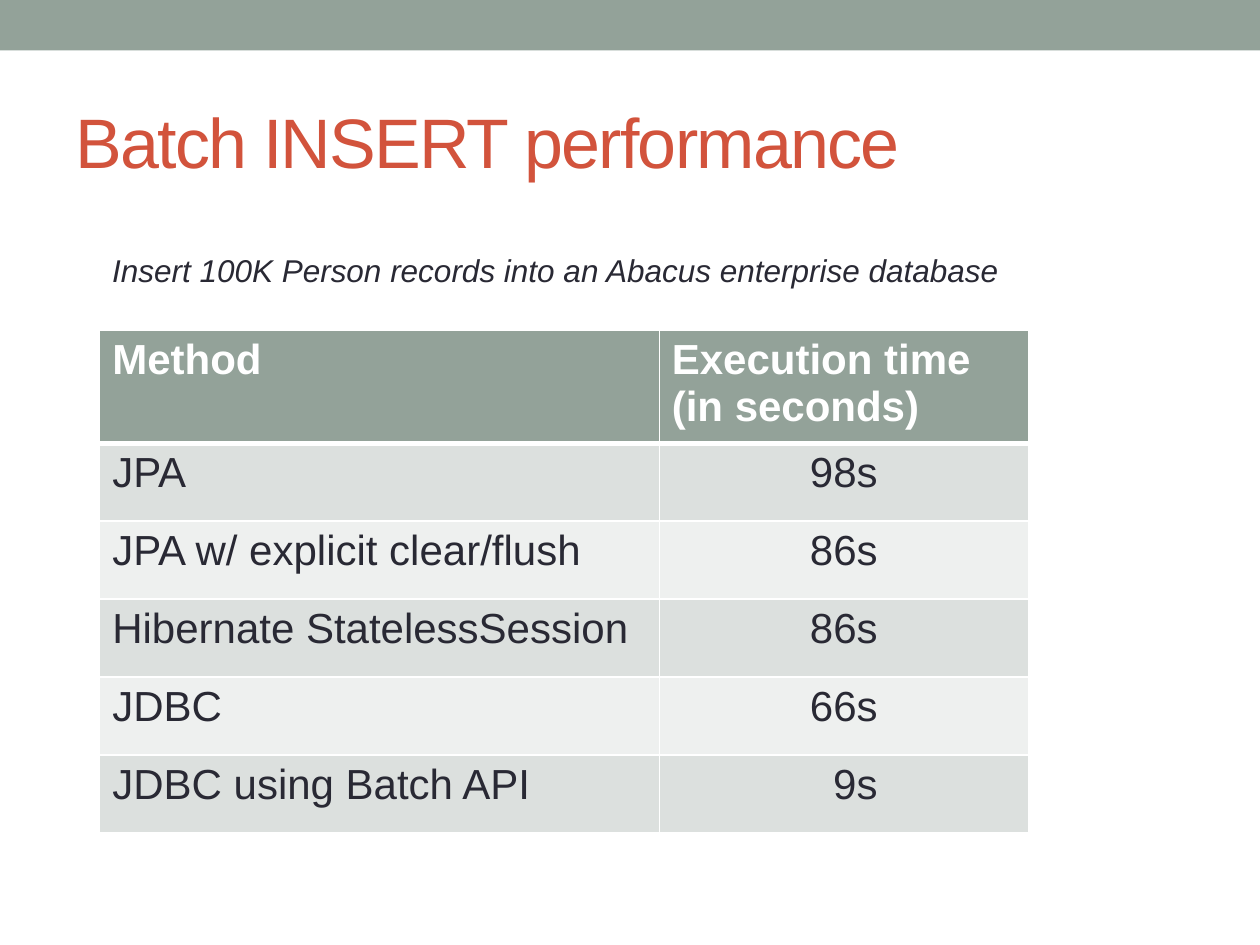
from lxml.etree import SubElement
from pptx import Presentation
from pptx.dml.color import RGBColor
from pptx.enum.shapes import MSO_SHAPE
from pptx.enum.text import MSO_ANCHOR, MSO_AUTO_SIZE, PP_ALIGN
from pptx.oxml.ns import qn
from pptx.util import Cm, Pt

SAGE = "93A299"
RUST = "D2533C"
DARK = "292934"
WHITE = "FFFFFF"
BAND_FILLS = ("DCE0DE", "EEF0EF")

TABLE_LEFT = 2.01
COLUMN_WIDTHS = (11.28, 7.44)
ROW_HEIGHT = 1.57
RESULTS = [
    ("Method", "Execution time \v(in seconds)"),
    ("JPA", "98s"),
    ("JPA w/ explicit clear/flush", "86s"),
    ("Hibernate StatelessSession", "86s"),
    ("JDBC", "66s"),
    ("JDBC using Batch API", "9s"),
]


def color(hex_string):
    """Turn a hex string into a colour."""
    return RGBColor.from_string(hex_string)


def format_text(text_frame, size, hex_string, bold=False, italic=False):
    """Apply one font style to every run of a text frame."""
    for paragraph in text_frame.paragraphs:
        for run in paragraph.runs:
            run.font.name = "Arial"
            run.font.size = Pt(size)
            run.font.bold = bold
            run.font.italic = italic
            run.font.color.rgb = color(hex_string)


def add_top_band(slide, width):
    """Draw the coloured band along the top edge."""
    band = slide.shapes.add_shape(MSO_SHAPE.RECTANGLE, 0, 0, width, Cm(1.02))
    band.shadow.inherit = False
    band.fill.solid()
    band.fill.fore_color.rgb = color(SAGE)
    band.line.fill.background()


def add_text(slide, text, left, top, width, height, size, hex_string, italic=False):
    """Add a wrapped text box in one style and return its text frame."""
    box = slide.shapes.add_textbox(Cm(left), Cm(top), Cm(width), Cm(height))
    text_frame = box.text_frame
    text_frame.word_wrap = True
    text_frame.text = text
    format_text(text_frame, size, hex_string, italic=italic)
    return text_frame


def add_title(slide, text):
    """Add the slide title with tightened letter spacing."""
    text_frame = add_text(slide, text, 1.27, 1.47, 22.86, 2.74, 40, RUST)
    text_frame.vertical_anchor = MSO_ANCHOR.MIDDLE
    for run in text_frame.paragraphs[0].runs:
        run.font._element.set("spc", "-100")


def set_borders(cell, top, bottom):
    """Give a cell white borders, with top and bottom widths in points."""
    properties = cell._tc.get_or_add_tcPr()
    widths = {"a:lnL": 1, "a:lnR": 1, "a:lnT": top, "a:lnB": bottom}
    for index, (tag, width) in enumerate(widths.items()):
        line = SubElement(properties, qn(tag), w=str(Pt(width)))
        fill = SubElement(line, qn("a:solidFill"))
        SubElement(fill, qn("a:srgbClr"), val=WHITE)
        properties.insert(index, line)


def fill_cell(cell, text, row, column):
    """Write and style one table cell according to its row and column."""
    is_header = row == 0
    cell.text_frame.text = ""
    paragraph = cell.text_frame.paragraphs[0]
    paragraph.text = text
    format_text(cell.text_frame, 24, WHITE if is_header else DARK, bold=is_header)
    if column == 1 and not is_header:
        paragraph.alignment = PP_ALIGN.CENTER
        if len(text) == 2:
            # Line the single digit up with the units above it.
            cell.margin_left = Cm(0.72)
    cell.fill.solid()
    cell.fill.fore_color.rgb = color(SAGE if is_header else BAND_FILLS[(row - 1) % 2])
    set_borders(cell, top=3 if row == 1 else 1, bottom=3 if is_header else 1)


def add_results_table(slide):
    """Add the table of methods and execution times."""
    table = slide.shapes.add_table(
        len(RESULTS), len(COLUMN_WIDTHS), Cm(TABLE_LEFT), Cm(6.65),
        Cm(sum(COLUMN_WIDTHS)), Cm(ROW_HEIGHT * len(RESULTS)),
    ).table
    for column, width in zip(table.columns, COLUMN_WIDTHS):
        column.width = Cm(width)
    for row_index, values in enumerate(RESULTS):
        table.rows[row_index].height = Cm(ROW_HEIGHT)
        for column_index, text in enumerate(values):
            cell = table.cell(row_index, column_index)
            fill_cell(cell, text, row_index, column_index)


def main():
    """Build the slide and save it."""
    presentation = Presentation()
    presentation.slide_width = Cm(25.4)
    presentation.slide_height = Cm(19.05)
    slide = presentation.slides.add_slide(presentation.slide_layouts[6])
    add_top_band(slide, presentation.slide_width)
    add_title(slide, "Batch INSERT performance")
    add_results_table(slide)
    caption = add_text(
        slide, "Insert 100K Person records into an Abacus enterprise database",
        TABLE_LEFT, 4.93, sum(COLUMN_WIDTHS), 1.02, 18, DARK, italic=True,
    )
    caption.auto_size = MSO_AUTO_SIZE.SHAPE_TO_FIT_TEXT
    presentation.save("out.pptx")


main()
